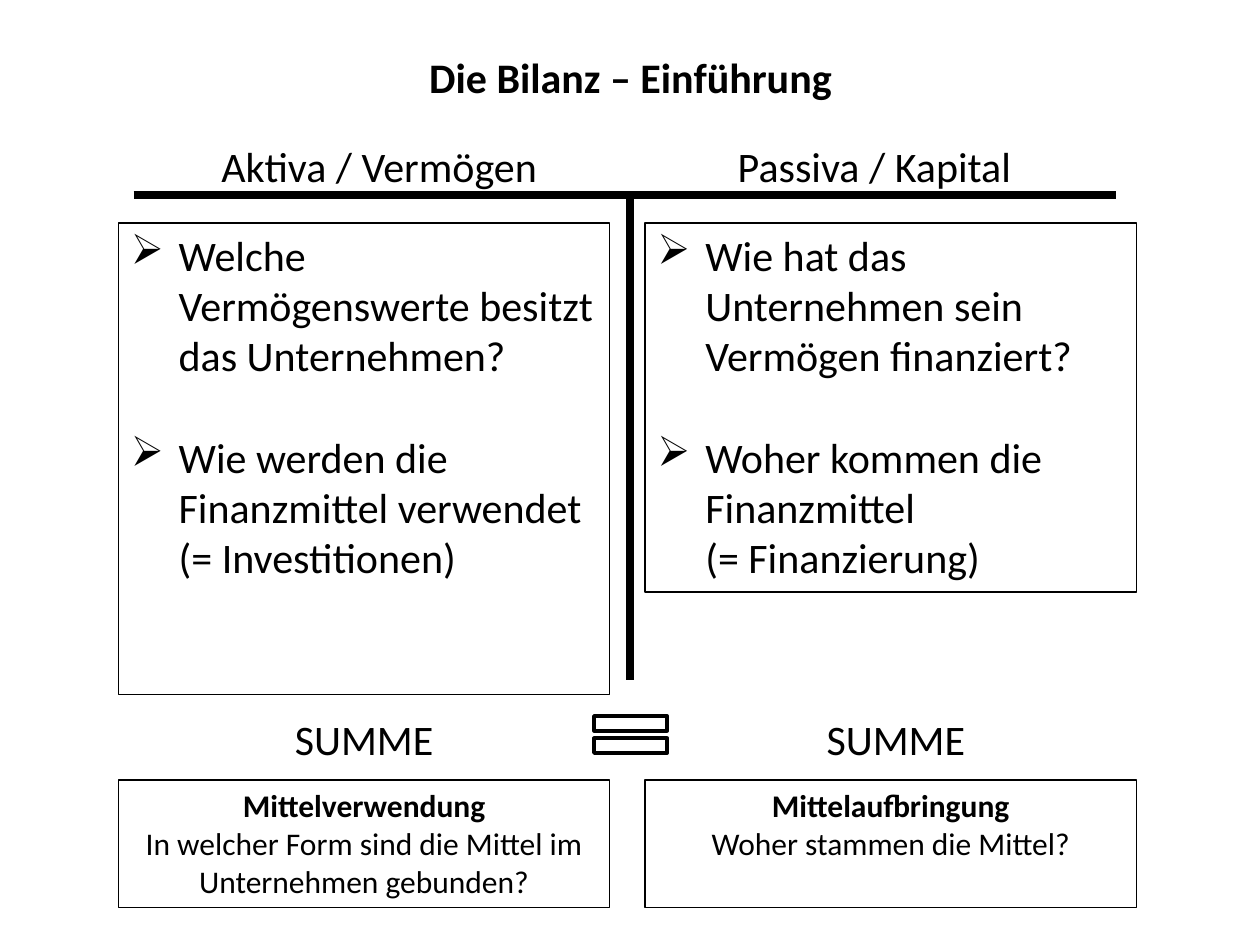
import pptx
import pptx.util
import pptx.dml.color
import pptx.enum.shapes
import pptx.enum.text
import pptx.oxml.ns
import lxml.etree

Inches = pptx.util.Inches
Pt = pptx.util.Pt
ALIGN = pptx.enum.text.PP_ALIGN
SHAPE = pptx.enum.shapes.MSO_SHAPE
COLORS = {"ink": "000000", "paper": "FFFFFF"}
FONT = "Calibri"
BOX_WIDTH = 3.9

# One entry per side of the account
SIDES = [
    {"left": 0.94, "heading_left": 1.06, "sum_left": 0.94, "box_height": 3.74,
     "heading": "Aktiva / Vermögen",
     "questions": ["Welche Vermögenswerte besitzt das Unternehmen?",
                   "Wie werden die Finanzmittel verwendet (= Investitionen)"],
     "summary": ["Mittelverwendung",
                 "In welcher Form sind die Mittel im Unternehmen gebunden?"]},
    {"left": 5.12, "heading_left": 4.99, "sum_left": 5.16, "box_height": 2.93,
     "heading": "Passiva / Kapital",
     "questions": ["Wie hat das Unternehmen sein Vermögen finanziert?",
                   "Woher kommen die Finanzmittel\v(= Finanzierung)"],
     "summary": ["Mittelaufbringung", "Woher stammen die Mittel?"]},
]


def color(name):
    return pptx.dml.color.RGBColor.from_string(COLORS[name])


def write(box, lines, size=24, align=ALIGN.CENTER, bold_first=False):
    frame = box.text_frame
    frame.word_wrap = True
    frame.vertical_anchor = pptx.enum.text.MSO_ANCHOR.TOP
    for index, line in enumerate(lines):
        para = frame.paragraphs[0] if index == 0 else frame.add_paragraph()
        para.text = line
        para.alignment = align
        para.font.name = FONT
        para.font.size = Pt(size)
        para.font.bold = bold_first and index == 0
        para.font.color.rgb = color("ink")
    return frame


def add_label(page, left, top, width, text, bold=False):
    box = page.shapes.add_textbox(Inches(left), Inches(top), Inches(width), Inches(0.5))
    write(box, [text], bold_first=bold)


def add_outlined(page, kind, left, top, width, height, weight):
    box = page.shapes.add_shape(
        kind, Inches(left), Inches(top), Inches(width), Inches(height))
    box.shadow.inherit = False
    box.fill.background()
    box.line.color.rgb = color("ink")
    box.line.width = Pt(weight)
    return box


def add_rule(page, x1, y1, x2, y2):
    rule = page.shapes.add_connector(
        pptx.enum.shapes.MSO_CONNECTOR.STRAIGHT,
        Inches(x1), Inches(y1), Inches(x2), Inches(y2))
    rule.line.color.rgb = color("ink")
    rule.line.width = Pt(4.5)
    lxml.etree.SubElement(rule._element.spPr, pptx.oxml.ns.qn("a:effectLst"))


def add_bullet(para):
    properties = para._p.get_or_add_pPr()
    properties.set("marL", str(Inches(0.38)))
    properties.set("indent", str(-Inches(0.38)))
    bullet = lxml.etree.Element(pptx.oxml.ns.qn("a:buChar"), char="➢")
    default_font = properties.find(pptx.oxml.ns.qn("a:defRPr"))
    default_font.addprevious(bullet)


def add_account_frame(page, left, top, width, height):
    add_rule(page, left, top, left + width, top)
    add_rule(page, 5, top, 5, top + height)


def add_side(page, side):
    # Heading
    add_label(page, side["heading_left"], 1.07, BOX_WIDTH, side["heading"])

    # Questions, one line apart
    box = add_outlined(page, SHAPE.RECTANGLE, side["left"], 1.77,
                       BOX_WIDTH, side["box_height"], 0.75)
    frame = write(box, side["questions"], align=ALIGN.LEFT)
    for para in frame.paragraphs:
        add_bullet(para)
    frame.paragraphs[1].space_before = Pt(29)

    # Sum and its meaning
    add_label(page, side["sum_left"], 5.61, BOX_WIDTH, "SUMME")
    box = add_outlined(page, SHAPE.RECTANGLE, side["left"], 6.19, BOX_WIDTH, 1.01, 0.75)
    write(box, side["summary"], size=18, bold_first=True)


def build_balance_page(deck):
    page = deck.slides.add_slide(deck.slide_layouts[6])
    add_label(page, 0.28, 0.36, 9.45, "Die Bilanz – Einführung", bold=True)
    add_account_frame(page, 1.06, 1.55, 7.8, 3.85)
    for side in SIDES:
        add_side(page, side)
    # Equals sign between the sums
    equals = add_outlined(page, SHAPE.MATH_EQUAL, 4.61, 5.58, 0.79, 0.5, 2)
    equals.fill.solid()
    equals.fill.fore_color.rgb = color("paper")


deck = pptx.Presentation()
deck.slide_width = Inches(10)
deck.slide_height = Inches(7.5)
build_balance_page(deck)
deck.save("out.pptx")
